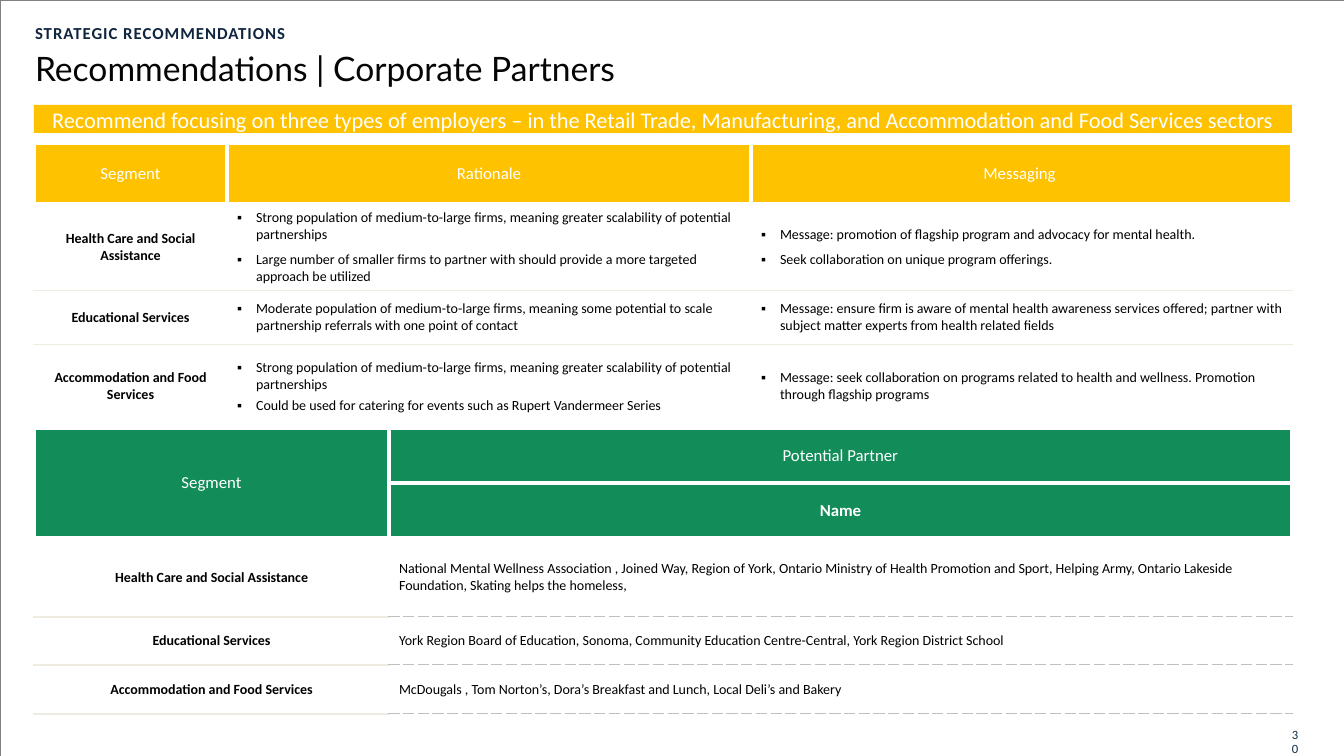
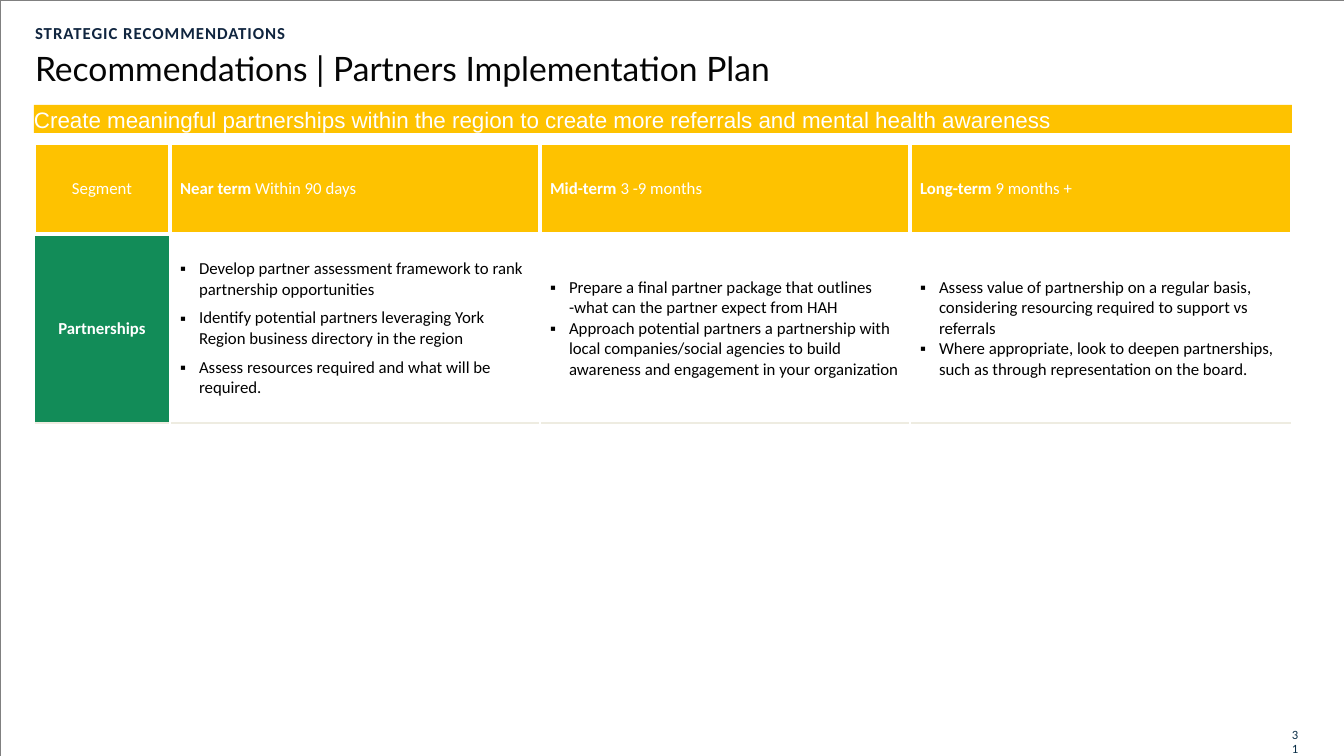
import pptx
import pptx.util
import pptx.dml.color
import pptx.enum.shapes
import pptx.enum.text
import pptx.oxml
import pptx.oxml.ns

ALIGN = pptx.enum.text.PP_ALIGN
ANCHOR = pptx.enum.text.MSO_ANCHOR
RECTANGLE = pptx.enum.shapes.MSO_SHAPE.RECTANGLE

COLORS = {
    "white": "FFFFFF", "black": "000000", "title": "050505", "navy": "10253F",
    "number": "0A2E47", "yellow": "FEC200", "green": "128C58",
    "cream": "EEECE1", "silver": "BFBFBF", "gray": "808080",
}

# Layout, in px (100.8 to the inch)
SLIDE_WIDTH, SLIDE_HEIGHT = 1344, 756
LEFT, WIDTH = 34, 1258
TABLE_TOP = 143
BULLET_INDENT = 19

# Cell borders: color, width in points, dash
WHITE_THICK = ("white", 3, "solid")
WHITE_THIN = ("white", 1, "solid")
CREAM_LINE = ("cream", 1.5, "solid")
DASHED_LINE = ("silver", 1, "sysDash")

# Cell styles: fill, line below, text format
HEAD = dict(size=12, color="white", align=ALIGN.CENTER)
LABEL = dict(size=10, bold=True, align=ALIGN.CENTER)
BULLETS = dict(size=10, bullet=True, after=6)
STYLES = {
    "head": ("yellow", WHITE_THICK, HEAD),
    "term": ("yellow", WHITE_THICK, dict(size=12, color="white")),
    "green head": ("green", WHITE_THICK, HEAD),
    "green bold": ("green", WHITE_THICK, dict(HEAD, bold=True)),
    "green label": ("green", CREAM_LINE, dict(HEAD, bold=True)),
    "label": (None, CREAM_LINE, LABEL),
    "bullets": (None, CREAM_LINE, BULLETS),
    "close bullets": (None, CREAM_LINE, dict(BULLETS, after=3)),
    "plan": (None, CREAM_LINE, dict(BULLETS, size=12)),
    "close plan": (None, CREAM_LINE, dict(BULLETS, size=12, after=0)),
    "names": (None, DASHED_LINE, dict(size=10)),
}

# Content: each cell is a style and its paragraphs; None joins the cell above
HEALTH = ("label", ["Health Care and Social Assistance"])
EDUCATION = ("label", ["Educational Services"])
FOOD = ("label", ["Accommodation and Food Services"])

SEGMENT_TABLE = {
    "columns": [193, 524, 541],
    "heights": [61, 86, 54, 84],
    "rows": [
        [("head", ["Segment"]), ("head", ["Rationale"]), ("head", ["Messaging "])],
        [HEALTH,
         ("bullets", [
             "Strong population of medium-to-large firms, meaning greater scalability of potential partnerships",
             "Large number of smaller firms to partner with should provide a more targeted approach be utilized"]),
         ("bullets", [
             "Message: promotion of flagship program and advocacy for mental health.",
             "Seek collaboration on unique program offerings."])],
        [EDUCATION,
         ("close bullets", [
             "Moderate population of medium-to-large firms, meaning some potential to scale "
             "partnership referrals with one point of contact"]),
         ("bullets", [
             "Message: ensure firm is aware of mental health awareness services offered; partner with "
             "subject matter experts from health related fields"])],
        [FOOD,
         ("close bullets", [
             "Strong population of medium-to-large firms, meaning greater scalability of potential partnerships",
             "Could be used for catering for events such as Rupert Vandermeer Series"]),
         ("bullets", [
             "Message: seek collaboration on programs related to health and wellness. Promotion "
             "through flagship programs"])],
    ],
}

PARTNER_TABLE = {
    "columns": [355, 903],
    "heights": [55, 55, 79, 48, 49],
    "rows": [
        [("green head", ["Segment"]), ("green head", ["Potential Partner"])],
        [None, ("green bold", ["Name"])],
        [HEALTH, ("names", [
            "National Mental Wellness Association , Joined Way, Region of York, Ontario Ministry of Health "
            "Promotion and Sport, Helping Army, Ontario Lakeside Foundation, Skating helps the homeless,"])],
        [EDUCATION, ("names", [
            "York Region Board of Education, Sonoma, Community Education Centre-Central, "
            "York Region District School"])],
        [FOOD, ("names", [
            "McDougals , Tom Norton’s, Dora’s Breakfast and Lunch, Local Deli’s and Bakery"])],
    ],
}

PLAN_TABLE = {
    "columns": [136, 370, 370, 382],
    "heights": [91, 189],
    "rows": [
        [("head", ["Segment"]),
         ("term", [[("Near term ", True), ("Within 90 days", False)]]),
         ("term", [[("Mid-term ", True), ("3 -9 months", False)]]),
         ("term", [[("Long-term ", True), ("9 months +", False)]])],
        [("green label", ["Partnerships"]),
         ("plan", [
             "Develop partner assessment framework to rank partnership opportunities",
             "Identify potential partners leveraging York Region business directory in the region",
             "Assess resources required and what will be required."]),
         ("close plan", [
             "Prepare a final partner package that outlines -what can the partner expect from HAH",
             "Approach potential partners a partnership with local companies/social agencies to build "
             "awareness and engagement in your organization"]),
         ("close plan", [
             "Assess value of partnership on a regular basis, considering resourcing required to support vs referrals",
             "Where appropriate, look to deepen partnerships, such as through representation on the board."])],
    ],
}

SLIDES = [
    {"title": "Recommendations | Corporate Partners",
     "band": "Recommend focusing on three types of employers – in the Retail Trade, Manufacturing, "
             "and Accommodation and Food Services sectors",
     "band format": dict(align=ALIGN.CENTER),
     "tables": [SEGMENT_TABLE, PARTNER_TABLE], "number": "30"},
    {"title": "Recommendations | Partners Implementation Plan",
     "band": "Create meaningful partnerships within the region to create more referrals "
             "and mental health awareness",
     "band format": dict(font="Arial"),
     "tables": [PLAN_TABLE], "number": "31"},
]


def px(length):
    return pptx.util.Emu(round(length * 914400 / 100.8))


def rgb(name):
    return pptx.dml.color.RGBColor.from_string(COLORS[name])


def xml(tag, content="", **attributes):
    listed = "".join(f' {key}="{value}"' for key, value in attributes.items())
    namespace = pptx.oxml.ns.nsdecls("a")
    return pptx.oxml.parse_xml(f"<a:{tag} {namespace}{listed}>{content}</a:{tag}>")


def write_text(frame, paragraphs, size=12, color="black", font="Calibri", bold=False,
               align=ALIGN.LEFT, before=0, after=0, line=None, indent=0,
               tracking=0, bullet=False):
    """Fill a text frame; a paragraph is a string or a list of (text, bold) runs."""
    for index, content in enumerate(paragraphs):
        paragraph = frame.add_paragraph() if index else frame.paragraphs[0]
        paragraph.alignment = align
        paragraph.space_before = pptx.util.Pt(before)
        paragraph.space_after = pptx.util.Pt(after)
        if line:
            paragraph.line_spacing = pptx.util.Pt(line)
        properties = paragraph._p.get_or_add_pPr()
        properties.set("marL", str(px(BULLET_INDENT if bullet else indent)))
        properties.set("indent", str(px(-BULLET_INDENT if bullet else 0)))
        if bullet:
            properties.append(xml("buFont", typeface="Arial"))
            properties.append(xml("buChar", char="▪"))
        for text, is_bold in [(content, bold)] if isinstance(content, str) else content:
            run = paragraph.add_run()
            run.text = text
            run.font.size = pptx.util.Pt(size)
            run.font.name = font
            run.font.bold = is_bold
            run.font.color.rgb = rgb(color)
            if tracking:
                run._r.get_or_add_rPr().set("spc", str(round(tracking * 100)))


def place_text(shape, box, text, top_inset=1, **text_format):
    shape.left, shape.top, shape.width, shape.height = map(px, box)
    frame = shape.text_frame
    frame.word_wrap = True
    frame.auto_size = pptx.enum.text.MSO_AUTO_SIZE.NONE
    frame.vertical_anchor = ANCHOR.TOP
    frame.margin_left = frame.margin_right = frame.margin_bottom = 0
    frame.margin_top = px(top_inset)
    write_text(frame, [text], **text_format)


def add_rectangle(slide, box, fill=None, line=None):
    shape = slide.shapes.add_shape(RECTANGLE, *map(px, box))
    shape.shadow.inherit = False
    if fill:
        shape.fill.solid()
        shape.fill.fore_color.rgb = rgb(fill)
    else:
        shape.fill.background()
    if line:
        shape.line.color.rgb = rgb(line)
        shape.line.width = pptx.util.Pt(0.48)
    else:
        shape.line.fill.background()
    return shape


def set_borders(cell, left, right, top, bottom):
    properties = cell._tc.get_or_add_tcPr()
    for tag, (color, width, dash) in zip(("lnL", "lnR", "lnT", "lnB"), (left, right, top, bottom)):
        content = (f'<a:solidFill><a:srgbClr val="{COLORS[color]}"/></a:solidFill>'
                   f'<a:prstDash val="{dash}"/>')
        properties.append(xml(tag, content, w=pptx.util.Pt(width)))


def add_grid(slide, top, grid):
    """Draw a table and return the y of its lower edge."""
    columns, heights, rows = grid["columns"], grid["heights"], grid["rows"]
    table = slide.shapes.add_table(
        len(rows), len(columns), px(LEFT), px(top), px(WIDTH), px(sum(heights))).table
    table.first_row = table.horz_banding = False
    for column, width in zip(table.columns, columns):
        column.width = px(width)
    for row, height in zip(table.rows, heights):
        row.height = px(height)

    line_above = [WHITE_THICK] * len(columns)
    style_above = [None] * len(columns)
    for row_index, row in enumerate(rows):
        for column_index, content in enumerate(row):
            cell = table.cell(row_index, column_index)
            style, paragraphs = content or (style_above[column_index], [])
            fill, line_below, text_format = STYLES[style]
            side = WHITE_THICK if line_below == WHITE_THICK else WHITE_THIN
            set_borders(cell, side, side, line_above[column_index], line_below)
            if fill:
                cell.fill.solid()
                cell.fill.fore_color.rgb = rgb(fill)
            else:
                cell.fill.background()
            cell.vertical_anchor = ANCHOR.MIDDLE
            write_text(cell.text_frame, paragraphs, **text_format)
            if content is None:
                table.cell(row_index - 1, column_index).merge(cell)
            line_above[column_index] = line_below
            style_above[column_index] = style
    return top + sum(heights)


def add_slide(presentation, layout, content):
    slide = presentation.slides.add_slide(layout)

    # Heading
    place_text(slide.shapes.title, (LEFT, 47, 825, 42), content["title"],
               size=24, font="Lato", color="title", before=1.1, indent=1)
    place_text(slide.shapes.add_textbox(0, 0, 0, 0), (LEFT, 22, 308, 22),
               "STRATEGIC RECOMMENDATIONS", color="navy", bold=True,
               before=1, indent=1, tracking=0.7)

    # Key message band
    band_box = (LEFT, 105, WIDTH, 28)
    place_text(add_rectangle(slide, band_box, fill="yellow"), band_box, content["band"],
               size=16, color="white", **content["band format"])

    # Stacked tables
    top = TABLE_TOP
    for grid in content["tables"]:
        top = add_grid(slide, top, grid)

    # Page number
    place_text(slide.shapes.add_textbox(0, 0, 0, 0), (1283, 729, 18, 15), content["number"],
               top_inset=0, size=9, color="number", line=9.6, indent=9)
    return slide


def main():
    presentation = pptx.Presentation()
    presentation.slide_width, presentation.slide_height = px(SLIDE_WIDTH), px(SLIDE_HEIGHT)
    layout = presentation.slide_layouts[5]
    slides = [add_slide(presentation, layout, content) for content in SLIDES]

    # Thin frame, moved to the layout so that all slides share it
    frame = add_rectangle(slides[0], (0, 0, SLIDE_WIDTH, SLIDE_HEIGHT), line="gray")
    layout.shapes.element.append(frame.element)
    presentation.save("out.pptx")


if __name__ == "__main__":
    main()
